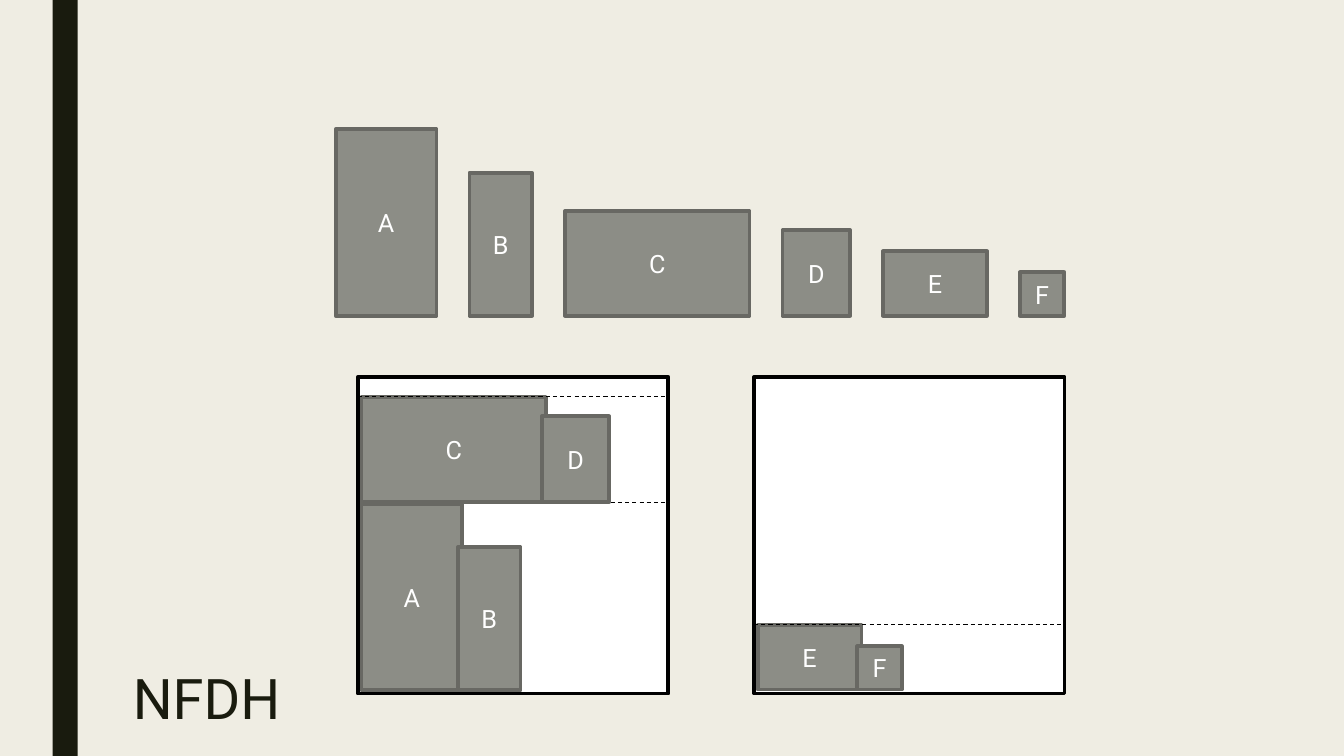
from typing import NamedTuple

from lxml import etree
from pptx import Presentation
from pptx.dml.color import RGBColor
from pptx.enum.dml import MSO_LINE
from pptx.enum.shapes import MSO_CONNECTOR, MSO_SHAPE
from pptx.enum.text import MSO_ANCHOR, PP_ALIGN
from pptx.oxml.ns import qn
from pptx.shapes.autoshape import Shape
from pptx.util import Pt

FONT = "Roboto"
DARK = "191B0E"
BIN_TOP, BIN_WIDTH, BIN_HEIGHT = 269.3, 221.8, 226.1
BIN_INSET = 2.6
ITEM_OVERLAP = 3
ROW_LEFT, ROW_FLOOR, ROW_GAP = 239.8, 225.6, 23.6


class Item(NamedTuple):
    label: str
    width: float
    height: float


class Shelf(NamedTuple):
    floor: float
    items: list[Item]


class Bin(NamedTuple):
    left: float
    shelves: list[Shelf]


A = Item("A", 72, 133.2)
B = Item("B", 44.6, 102.2)
C = Item("C", 131.8, 74.9)
D = Item("D", 48.2, 61.2)
E = Item("E", 74.2, 46.1)
F = Item("F", 31.7, 31)
ITEMS = [A, B, C, D, E, F]
BINS = [
    Bin(255.6, [Shelf(493, [A, B]), Shelf(358.6, [C, D])]),
    Bin(538.6, [Shelf(492.6, [E, F])]),
]

presentation = Presentation()
presentation.slide_width, presentation.slide_height = Pt(960), Pt(540)
slide = presentation.slides.add_slide(presentation.slide_layouts[6])


def color(value: str) -> RGBColor:
    return RGBColor.from_string(value)


def add_box(left: float, top: float, width: float, height: float,
            fill: str, outline: str | None = None) -> Shape:
    shape = slide.shapes.add_shape(
        MSO_SHAPE.RECTANGLE, Pt(left), Pt(top), Pt(width), Pt(height))
    shape.shadow.inherit = False
    shape.fill.solid()
    shape.fill.fore_color.rgb = color(fill)
    if outline:
        shape.line.color.rgb = color(outline)
        shape.line.width = Pt(2.75)
    else:
        shape.line.fill.background()
    return shape


def add_item(item: Item, left: float, floor: float) -> None:
    """Draw an item standing on the given floor."""
    shape = add_box(left, floor - item.height, item.width, item.height,
                    "8C8D86", "686863")
    shape.text_frame.vertical_anchor = MSO_ANCHOR.MIDDLE
    paragraph = shape.text_frame.paragraphs[0]
    paragraph.text = item.label
    paragraph.alignment = PP_ALIGN.CENTER
    paragraph.font.name = FONT
    paragraph.font.size = Pt(18)
    paragraph.font.color.rgb = color("FFFFFF")


def add_shelf_line(left: float, y: float) -> None:
    line = slide.shapes.add_connector(
        MSO_CONNECTOR.STRAIGHT, Pt(left), Pt(y), Pt(left + BIN_WIDTH), Pt(y))
    line.line.color.rgb = color("000000")
    line.line.width = Pt(0.75)
    line.line.dash_style = MSO_LINE.DASH
    etree.SubElement(line._element.spPr, qn("a:effectLst"))


def add_shelf(shelf: Shelf, bin_left: float) -> None:
    """Pack the items left to right, with a line above the first and tallest."""
    left = bin_left + BIN_INSET
    for index, item in enumerate(shelf.items):
        add_item(item, left, shelf.floor)
        if index == 0:
            add_shelf_line(bin_left, shelf.floor - item.height - 0.7)
        left += item.width - ITEM_OVERLAP


def add_title(text: str) -> None:
    box = slide.shapes.add_textbox(Pt(87.8), Pt(476.6), Pt(707), Pt(57.6))
    box.text_frame.word_wrap = True
    paragraph = box.text_frame.paragraphs[0]
    paragraph.text = text
    paragraph.line_spacing = 0.89
    paragraph.font.name = FONT
    paragraph.font.size = Pt(40)
    paragraph.font.color.rgb = color(DARK)


def main() -> None:
    slide.background.fill.solid()
    slide.background.fill.fore_color.rgb = color("EFEDE3")
    add_box(37.5, 0, 18, 540, DARK)
    add_title("NFDH")

    left = ROW_LEFT
    for item in ITEMS:
        add_item(item, left, ROW_FLOOR)
        left += item.width + ROW_GAP

    for container in BINS:
        add_box(container.left, BIN_TOP, BIN_WIDTH, BIN_HEIGHT, "FFFFFF", "000000")
        for shelf in container.shelves:
            add_shelf(shelf, container.left)

    presentation.save("out.pptx")


if __name__ == "__main__":
    main()
